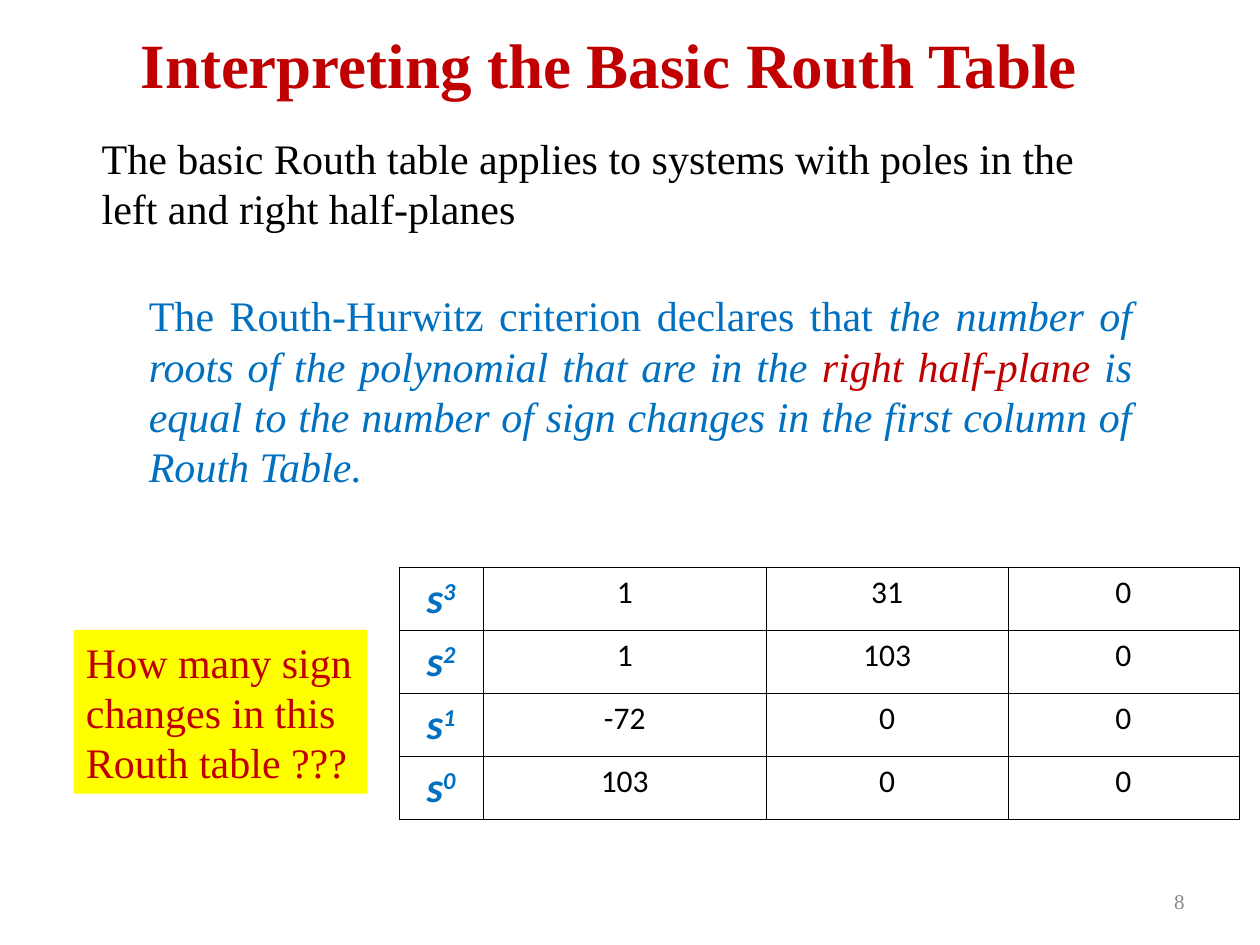
from lxml.etree import SubElement
from pptx import Presentation
from pptx.dml.color import RGBColor
from pptx.enum.text import MSO_ANCHOR, PP_ALIGN
from pptx.oxml.ns import qn
from pptx.util import Pt

RED = RGBColor(0xC0, 0x00, 0x00)
BLUE = RGBColor(0x00, 0x70, 0xC0)
BLACK = RGBColor(0x00, 0x00, 0x00)
GRAY = RGBColor(0x89, 0x89, 0x89)
YELLOW = RGBColor(0xFF, 0xFF, 0x00)
SERIF = "Times New Roman"


def add_run(paragraph, text, size, color, font=SERIF, bold=False, italic=False):
    run = paragraph.add_run()
    run.text = text
    run.font.name = font
    run.font.size = Pt(size)
    run.font.color.rgb = color
    run.font.bold = bold
    run.font.italic = italic
    return run


def add_text(left, top, width, height, runs, size=24, align=PP_ALIGN.LEFT):
    box = slide.shapes.add_textbox(Pt(left), Pt(top), Pt(width), Pt(height))
    box.text_frame.word_wrap = True
    paragraph = box.text_frame.paragraphs[0]
    paragraph.alignment = align
    for text, color, italic in runs:
        add_run(paragraph, text, size, color, italic=italic)
    return box


prs = Presentation()
prs.slide_width, prs.slide_height = Pt(720), Pt(540)
slide = prs.slides.add_slide(prs.slide_layouts[5])

# Title
title = slide.shapes.title
title.left, title.top, title.width, title.height = Pt(24), Pt(0), Pt(648), Pt(72)
title.text_frame.vertical_anchor = MSO_ANCHOR.MIDDLE
heading = title.text_frame.paragraphs[0]
heading.alignment = PP_ALIGN.CENTER
add_run(heading, "Interpreting the Basic Routh Table", 36, RED, bold=True)

# Scope of the table and the criterion
add_text(51, 72, 594, 65, [
    ("The basic Routh table applies to systems with poles in the "
     "left and right half-planes", BLACK, False),
])
add_text(78, 162, 576, 122.4, [
    ("The Routh-Hurwitz criterion declares that ", BLUE, False),
    ("the number of roots of the polynomial that are in the ", BLUE, True),
    ("right half-plane ", RED, True),
    ("is equal to the number of sign changes in the first column of "
     "Routh Table.", BLUE, True),
], align=PP_ALIGN.JUSTIFY)

# Routh table: power of s, then the coefficients
routh_rows = [
    ("3", "1", "31", "0"),
    ("2", "1", "103", "0"),
    ("1", "-72", "0", "0"),
    ("0", "103", "0", "0"),
]
column_widths = [48, 162, 138, 132]
routh = slide.shapes.add_table(4, 4, Pt(228), Pt(324), Pt(480), Pt(144)).table
routh.first_row = routh.horz_banding = False
for column, width in zip(routh.columns, column_widths):
    column.width = Pt(width)
for row, values in zip(routh.rows, routh_rows):
    row.height = Pt(36)
    for index, (cell, value) in enumerate(zip(row.cells, values)):
        paragraph = cell.text_frame.paragraphs[0]
        paragraph.alignment = PP_ALIGN.CENTER
        if index == 0:
            add_run(paragraph, "s", 24, BLUE, "Calibri", True, True)
            power = add_run(paragraph, value, 24, BLUE, "Calibri", True, True)
            power.font._element.set("baseline", "30000")
        else:
            add_run(paragraph, value, 18, BLACK, "Calibri")
        # Thin black border on every side
        cell_properties = cell._tc.get_or_add_tcPr()
        for side in ("a:lnL", "a:lnR", "a:lnT", "a:lnB"):
            border = SubElement(cell_properties, qn(side), w=str(Pt(0.45)))
            border_fill = SubElement(border, qn("a:solidFill"))
            SubElement(border_fill, qn("a:srgbClr"), val=str(BLACK))
        cell.fill.background()

# Question
question = add_text(42, 360, 168, 93.6, [
    ("How many sign changes in this Routh table ???", RED, False),
])
question.fill.solid()
question.fill.fore_color.rgb = YELLOW

# Slide number
page_number = add_text(516, 500.4, 168, 28.8, [("8", GRAY, False)],
                       size=12, align=PP_ALIGN.RIGHT)
page_number.text_frame.vertical_anchor = MSO_ANCHOR.MIDDLE

prs.save("out.pptx")
